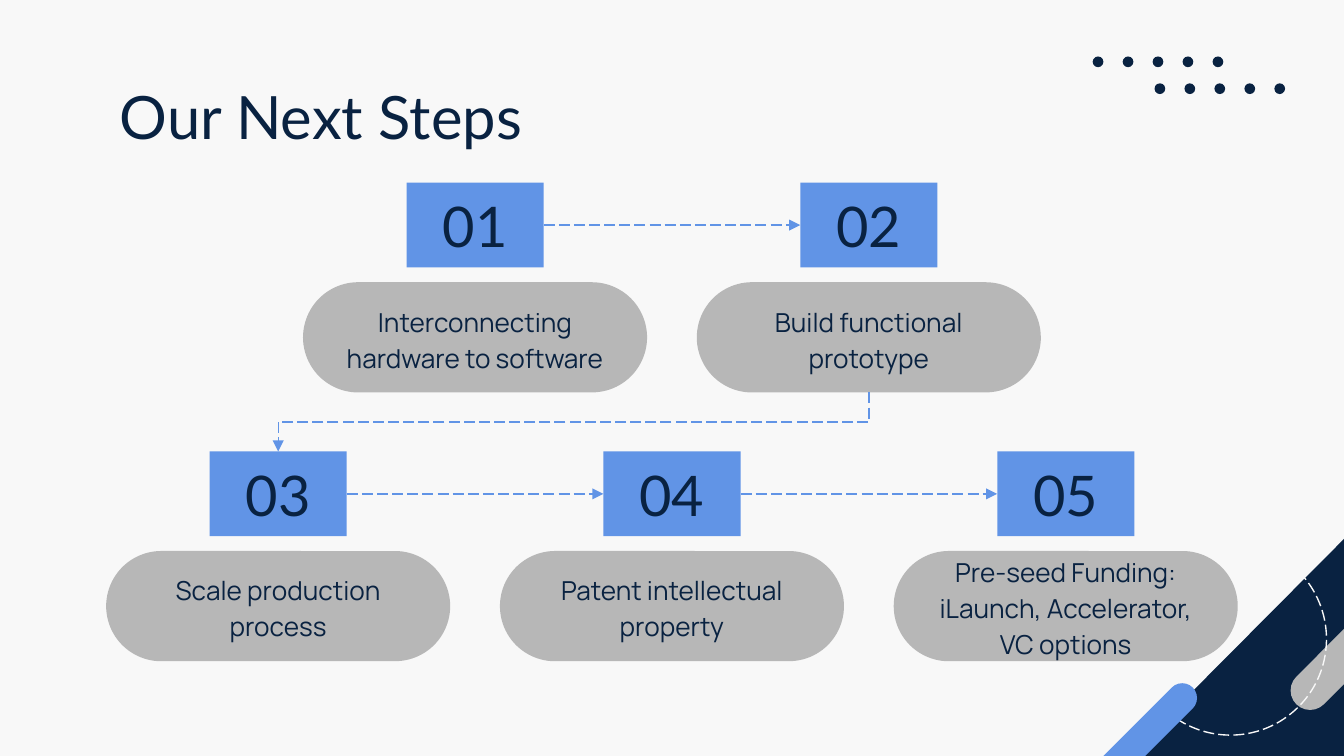
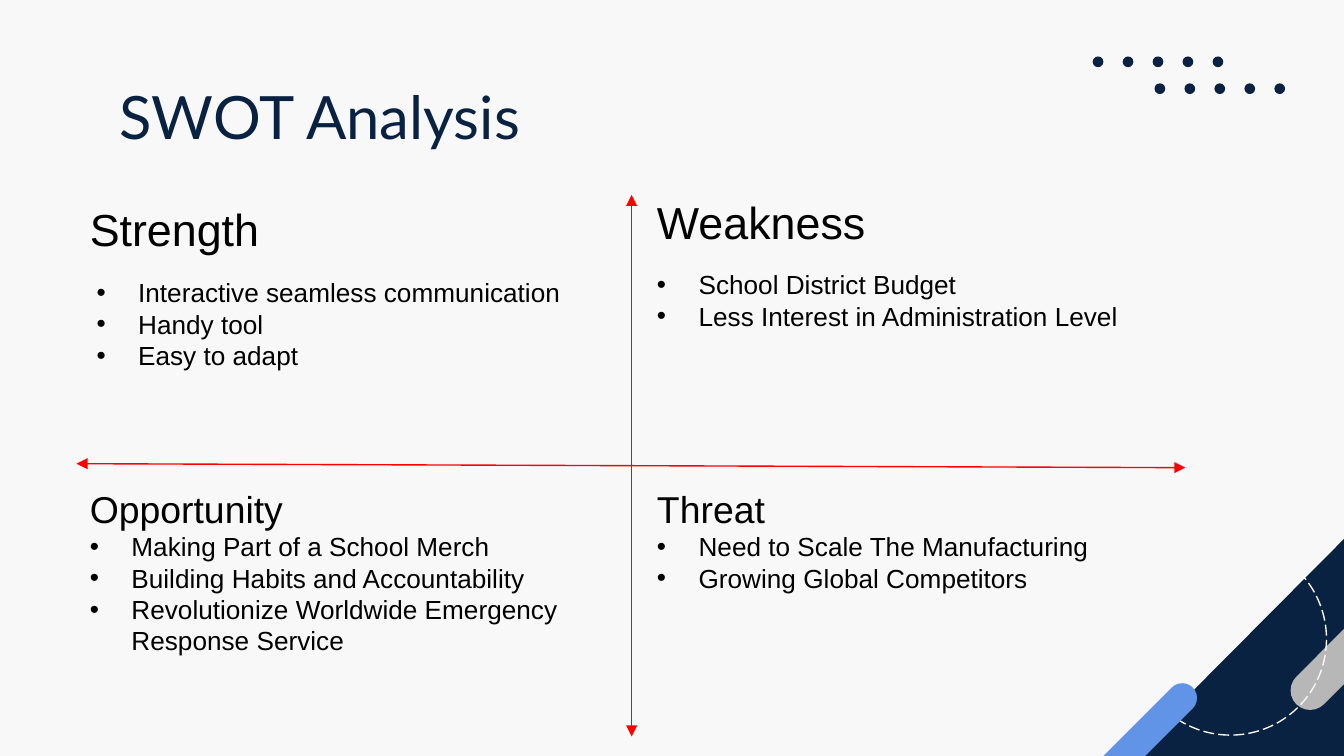
import pptx
import pptx.dml.color
import pptx.enum.dml
import pptx.enum.shapes
import pptx.enum.text
import pptx.oxml.ns
import pptx.oxml.xmlchemy
import pptx.util
import lxml.etree

Inches, Pt = pptx.util.Inches, pptx.util.Pt
SHAPE = pptx.enum.shapes.MSO_SHAPE
CONNECTOR = pptx.enum.shapes.MSO_CONNECTOR
ALIGN, ANCHOR = pptx.enum.text.PP_ALIGN, pptx.enum.text.MSO_ANCHOR
AUTO_SIZE = pptx.enum.text.MSO_AUTO_SIZE
DASH = pptx.enum.dml.MSO_LINE
qn = pptx.oxml.ns.qn
COLORS = {
    name: pptx.dml.color.RGBColor.from_string(value)
    for name, value in {
        "paper": "F8F8F8", "navy": "092241", "blue": "6194E6",
        "gray": "B7B7B7", "red": "FF0000", "black": "000000",
    }.items()
}


def add_block(slide, kind, box, fill=None, rotation=0, text="", font="Lato", size=30):
    """Add a borderless preset shape, with centred text if any is given."""
    shape = slide.shapes.add_shape(kind, *map(Inches, box))
    shape.shadow.inherit = False
    shape.rotation = rotation
    shape.line.fill.background()
    if fill:
        shape.fill.solid()
        shape.fill.fore_color.rgb = COLORS[fill]
    else:
        shape.fill.background()
    if kind == SHAPE.ROUNDED_RECTANGLE:
        shape.adjustments[0] = 0.5
    if text:
        frame = shape.text_frame
        frame.word_wrap = True
        frame.vertical_anchor = ANCHOR.MIDDLE
        frame.margin_left = frame.margin_right = Inches(0.1)
        frame.margin_top = frame.margin_bottom = Inches(0.1)
        frame.text = text
        paragraph = frame.paragraphs[0]
        paragraph.alignment = ALIGN.CENTER
        run_font = paragraph.runs[0].font
        run_font.name, run_font.size = font, Pt(size)
        run_font.color.rgb = COLORS["navy"]
    return shape


def add_arrow(slide, kind, ends, color, dashed=False, both_heads=False):
    connector = slide.shapes.add_connector(kind, *map(Inches, ends))
    connector.line.color.rgb = COLORS[color]
    connector.line.width = Pt(0.75)
    if dashed:
        connector.line.dash_style = DASH.LONG_DASH
    line = connector.element.spPr.find(qn("a:ln"))
    for tag in ["a:headEnd", "a:tailEnd"] if both_heads else ["a:tailEnd"]:
        lxml.etree.SubElement(line, qn(tag), type="triangle")
    lxml.etree.SubElement(connector.element.spPr, qn("a:effectLst"))
    return connector


presentation = pptx.Presentation()
presentation.slide_width = Inches(10)
presentation.slide_height = Inches(5.625)
layout = presentation.slide_layouts[5]
layout.background.fill.solid()
layout.background.fill.fore_color.rgb = COLORS["paper"]

# Both slides with their titles
slides = []
for title_text in ["Our Next Steps", "SWOT Analysis"]:
    slide = presentation.slides.add_slide(layout)
    title = slide.shapes.title
    title.left, title.top = Inches(0.79), Inches(0.49)
    title.width, title.height = Inches(8.43), Inches(0.63)
    frame = title.text_frame
    frame.text = title_text
    frame.auto_size = AUTO_SIZE.NONE
    frame.word_wrap = True
    frame.vertical_anchor = ANCHOR.TOP
    frame.margin_left = frame.margin_right = Inches(0.1)
    frame.margin_top = frame.margin_bottom = Inches(0.1)
    frame.paragraphs[0].alignment = ALIGN.LEFT
    font = frame.paragraphs[0].runs[0].font
    font.name, font.size = "Lato", Pt(32)
    font.color.rgb = COLORS["navy"]
    slides.append(slide)
steps_slide, swot_slide = slides

# Shared decoration: made with the slide's methods, then moved to the layout
decoration = []
for left, top in [(8.59, 0.62), (8.13, 0.42)]:
    for dot in range(5):
        box = (left + dot * 0.223, top, 0.08, 0.08)
        decoration.append(add_block(steps_slide, SHAPE.OVAL, box, "navy"))
for kind, box, fill, rotation in [
    (SHAPE.RIGHT_TRIANGLE, (8.37, 3.95, 1.7, 1.69), "navy", 270),
    (SHAPE.ROUNDED_RECTANGLE, (9.46, 4.65, 1.26, 0.29), "gray", 135),
    (SHAPE.OVAL, (8.44, 4.04, 1.43, 1.43), None, 0),
    (SHAPE.ROUNDED_RECTANGLE, (7.85, 5.43, 1.2, 0.22), "blue", 135),
]:
    shape = add_block(steps_slide, kind, box, fill, rotation)
    if fill is None:
        shape.line.color.rgb = COLORS["paper"]
        shape.line.width = Pt(0.75)
        shape.line.dash_style = DASH.LONG_DASH
    decoration.append(shape)
for shape in decoration:
    layout.shapes.element.append(shape.element)

# Next steps: columns and rows of a grid, the first row shifted by half a column
GRID_LEFT, GRID_TOP, COLUMN, ROW = 0.79, 1.36, 2.93, 2.0
PILL_WIDTH, PILL_HEIGHT, PILL_DROP = 2.56, 0.82, 0.74
NUMBER_WIDTH, NUMBER_HEIGHT = 1.02, 0.63
steps = [
    (0.5, 0, "Interconnecting hardware to software"),
    (1.5, 0, "Build functional prototype"),
    (0, 1, "Scale production process"),
    (1, 1, "Patent intellectual property"),
    (2, 1, "Pre-seed Funding: iLaunch, Accelerator, VC options"),
]
for number, (column, row, text) in enumerate(steps, 1):
    pill_left = GRID_LEFT + column * COLUMN
    number_left = pill_left + (PILL_WIDTH - NUMBER_WIDTH) / 2
    top = GRID_TOP + row * ROW
    add_block(steps_slide, SHAPE.RECTANGLE, (number_left, top, NUMBER_WIDTH, NUMBER_HEIGHT),
              "blue", text=f"{number:02}")
    pill = add_block(steps_slide, SHAPE.ROUNDED_RECTANGLE,
                     (pill_left, top + PILL_DROP, PILL_WIDTH, PILL_HEIGHT),
                     "gray", text=text, font="Manrope", size=14)
    pill.text_frame.paragraphs[0].line_spacing = 1.15
    if number in (1, 3, 4):
        middle = top + NUMBER_HEIGHT / 2
        ends = (number_left + NUMBER_WIDTH, middle, number_left + COLUMN, middle)
        add_arrow(steps_slide, CONNECTOR.STRAIGHT, ends, "blue", dashed=True)

# The elbow from step 02 down to step 03 is a quarter turn of a tall, narrow one
start_x = GRID_LEFT + 1.5 * COLUMN + PILL_WIDTH / 2
end_x = GRID_LEFT + PILL_WIDTH / 2
start_y, end_y = GRID_TOP + PILL_DROP + PILL_HEIGHT, GRID_TOP + ROW
center_x, center_y = (start_x + end_x) / 2, (start_y + end_y) / 2
half_width, half_height = (end_y - start_y) / 2, (start_x - end_x) / 2
elbow = add_arrow(steps_slide, CONNECTOR.ELBOW,
                  (center_x - half_width, center_y - half_height,
                   center_x + half_width, center_y + half_height), "blue", dashed=True)
elbow.element.spPr.find(qn("a:xfrm")).set("rot", str(90 * 60000))

# SWOT axes and quadrants
for ends in [(0.57, 3.45, 8.82, 3.48), (4.7, 1.45, 4.7, 5.48)]:
    add_arrow(swot_slide, CONNECTOR.STRAIGHT, ends, "red", both_heads=True)

LEFT, RIGHT = 0.57, 4.79
quadrants = [
    ("Strength", 24, (LEFT, 1.45), (0.62, 2.01),
     ["Interactive seamless communication", "Handy tool", "Easy to adapt"]),
    ("Weakness", 24, (RIGHT, 1.4), (RIGHT, 1.95),
     ["School District Budget", "Less Interest in Administration Level"]),
    ("Opportunity", 20, (LEFT, 3.57), (LEFT, 3.9),
     ["Making Part of a School Merch", "Building Habits and Accountability",
      "Revolutionize Worldwide Emergency Response Service"]),
    ("Threat", 20, (RIGHT, 3.57), (RIGHT, 3.9),
     ["Need to Scale The Manufacturing", "Growing Global Competitors"]),
]
for heading, heading_size, heading_at, list_at, points in quadrants:
    for lines, size, (left, top), width, bulleted in [
        ([heading], heading_size, heading_at, 3, False),
        (points, 14, list_at, 3.76, True),
    ]:
        height = 0.1 + len(lines) * size / 60
        box = swot_slide.shapes.add_textbox(*map(Inches, (left, top, width, height)))
        frame = box.text_frame
        frame.word_wrap = True
        frame.auto_size = AUTO_SIZE.SHAPE_TO_FIT_TEXT
        frame.text = "\n".join(lines)
        for paragraph in frame.paragraphs:
            if bulleted:
                properties = paragraph._p.get_or_add_pPr()
                properties.set("marL", str(Inches(0.31)))
                properties.set("indent", str(-Inches(0.31)))
                lxml.etree.SubElement(properties, qn("a:buFont"), typeface="Arial")
                lxml.etree.SubElement(properties, qn("a:buChar"), char="•")
            font = paragraph.runs[0].font
            font.name, font.size = "Arial", Pt(size)
            font.color.rgb = COLORS["black"]

presentation.save("out.pptx")
